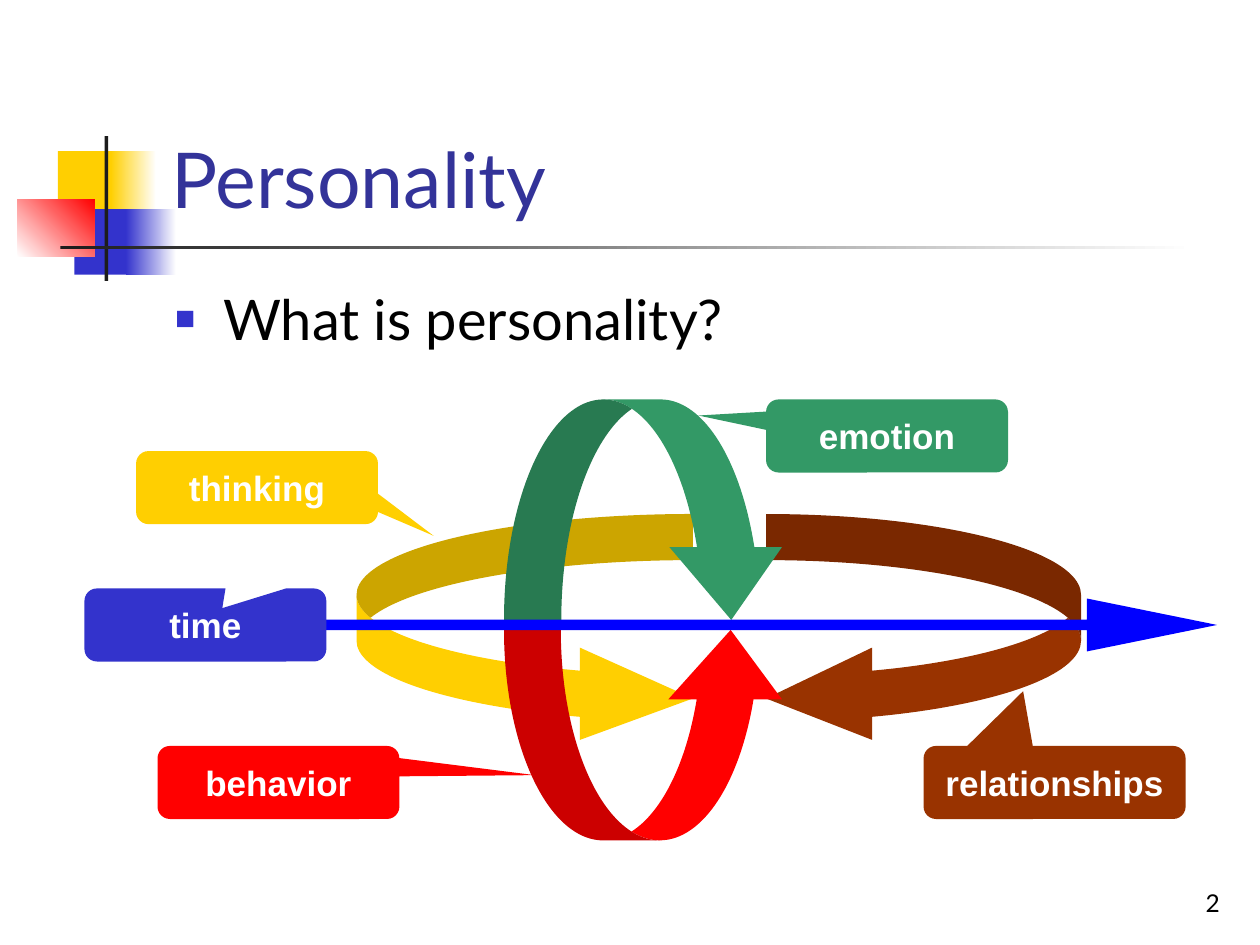
from dataclasses import dataclass

import lxml.etree
import pptx
import pptx.dml.color
import pptx.enum.shapes
import pptx.enum.text
import pptx.oxml.ns
import pptx.util

Inches = pptx.util.Inches
Shape = pptx.enum.shapes.MSO_SHAPE
Align = pptx.enum.text.PP_ALIGN
Anchor = pptx.enum.text.MSO_ANCHOR
Box = tuple[float, float, float, float]


@dataclass(frozen=True)
class Theme:
    yellow: str = "FFCF01"
    blue: str = "3333CC"
    red: str = "FF0000"
    green: str = "339966"
    brown: str = "993300"
    arrow_blue: str = "0000FF"
    title: str = "333399"
    ink: str = "1C1C1C"
    black: str = "000000"
    white: str = "FFFFFF"
    heading_font: str = "Lato"
    label_font: str = "Arial"
    title_size: int = 44
    body_size: int = 32
    label_size: int = 20
    number_size: int = 14


THEME = Theme()


@dataclass(frozen=True)
class Block:
    """A decoration bar; a second colour makes it a gradient."""
    box: Box
    color: str
    end_color: str = ""
    angle: int = 0


@dataclass(frozen=True)
class Figure:
    """A preset shape with its adjustments and an optional label."""
    preset: Shape
    box: Box
    color: str
    adjustments: tuple[float, ...]
    label: str = ""


BLOCKS = [
    Block((0.46, 1.2, 0.48, 0.52), THEME.yellow),
    Block((0.88, 1.2, 0.36, 0.52), THEME.yellow, THEME.white),
    Block((0.59, 1.66, 0.46, 0.52), THEME.blue),
    Block((1, 1.66, 0.4, 0.52), THEME.blue, THEME.white),
    Block((0.14, 1.58, 0.61, 0.46), THEME.white, THEME.red, 45),
    Block((0.83, 1.08, 0.03, 1.15), THEME.ink),
    Block((0.48, 1.95, 9, 0.03), THEME.ink, THEME.white),
]

# Adjustments: band width, head width, head length
ARROWS = [
    Figure(Shape.CURVED_RIGHT_ARROW, (2.83, 4.08, 2.67, 1.83), THEME.yellow, (0.2, 0.4, 0.49)),
    Figure(Shape.CURVED_LEFT_ARROW, (6.08, 4.08, 2.5, 1.83), THEME.brown, (0.2, 0.4, 0.46)),
    Figure(Shape.CURVED_UP_ARROW, (4, 5, 2.25, 1.67), THEME.red, (0.27, 0.54, 0.33)),
    Figure(Shape.CURVED_DOWN_ARROW, (4, 3.17, 2.25, 1.75), THEME.green, (0.26, 0.51, 0.33)),
    Figure(Shape.STRIPED_RIGHT_ARROW, (0.83, 4.75, 8.83, 0.42), THEME.arrow_blue, (0.2, 2.46)),
]


def callout(label: str, left: float, top: float, color: str,
            tip: tuple[float, float], width: float = 1.92) -> Figure:
    return Figure(Shape.ROUNDED_RECTANGULAR_CALLOUT, (left, top, width, 0.58),
                  color, (*tip, 0.17), label)


CALLOUTS = [
    callout("emotion", 6.08, 3.17, THEME.green, (-0.78, -0.28)),
    callout("relationships", 7.33, 5.92, THEME.brown, (-0.12, -1.25), 2.08),
    callout("behavior", 1.25, 5.92, THEME.red, (1.06, -0.1)),
    callout("thinking", 1.08, 3.58, THEME.yellow, (0.73, 0.66)),
    callout("time", 0.67, 4.67, THEME.blue, (0.07, -0.23)),
]


def rgb(color: str) -> pptx.dml.color.RGBColor:
    return pptx.dml.color.RGBColor.from_string(color)


def apply(target, values: dict) -> None:
    for name, value in values.items():
        setattr(target, name, value)


def place(shape, box: Box) -> None:
    apply(shape, dict(zip(("left", "top", "width", "height"), map(Inches, box))))


def write(shape, text: str, font: str, size: int, color: str, align: Align,
          anchor: Anchor, bold: bool = False):
    """Fill a shape with one formatted paragraph and return it."""
    frame = shape.text_frame
    apply(frame, {"word_wrap": True, "vertical_anchor": anchor,
                  "auto_size": pptx.enum.text.MSO_AUTO_SIZE.NONE})
    para = frame.paragraphs[0]
    apply(para, {"alignment": align, "space_before": pptx.util.Pt(0)})
    span = para.add_run()
    span.text = text
    apply(span.font, {"name": font, "size": pptx.util.Pt(size), "bold": bold})
    span.font.color.rgb = rgb(color)
    return para


def add_plain(page, preset: Shape, box: Box):
    shape = page.shapes.add_shape(preset, *map(Inches, box))
    shape.shadow.inherit = False
    shape.line.fill.background()
    return shape


def draw_block(page, block: Block) -> None:
    fill = add_plain(page, Shape.RECTANGLE, block.box).fill
    if block.end_color:
        fill.gradient()
        fill.gradient_angle = block.angle
        for stop, color in zip(fill.gradient_stops, (block.color, block.end_color)):
            stop.color.rgb = rgb(color)
    else:
        fill.solid()
        fill.fore_color.rgb = rgb(block.color)


def draw_figure(page, figure: Figure) -> None:
    shape = add_plain(page, figure.preset, figure.box)
    shape.fill.solid()
    shape.fill.fore_color.rgb = rgb(figure.color)
    for index, value in enumerate(figure.adjustments):
        shape.adjustments[index] = value
    if figure.label:
        write(shape, figure.label, THEME.label_font, THEME.label_size,
              THEME.white, Align.CENTER, Anchor.MIDDLE, bold=True)


def add_bullet(para, character: str, color: str, percent: int, indent: float) -> None:
    properties = para._p.get_or_add_pPr()
    properties.set("marL", str(Inches(indent)))
    properties.set("indent", str(-Inches(indent)))
    qn = pptx.oxml.ns.qn
    bullet_color = lxml.etree.SubElement(properties, qn("a:buClr"))
    lxml.etree.SubElement(bullet_color, qn("a:srgbClr"), val=color)
    lxml.etree.SubElement(properties, qn("a:buSzPct"), val=str(percent * 1000))
    lxml.etree.SubElement(properties, qn("a:buChar"), char=character)


def main() -> None:
    deck = pptx.Presentation()
    deck.slide_width, deck.slide_height = Inches(10), Inches(7.5)
    page = deck.slides.add_slide(deck.slide_layouts[1])

    # Corner decoration
    for block in BLOCKS:
        draw_block(page, block)

    # Title, list and page number
    title, body = page.shapes.title, page.placeholders[1]
    place(title, (1.26, 0.23, 8.52, 1.6))
    write(title, "Personality", THEME.heading_font, THEME.title_size,
          THEME.title, Align.LEFT, Anchor.BOTTOM)
    place(body, (1.29, 2.21, 8.5, 4.5))
    para = write(body, "What is personality?", THEME.heading_font, THEME.body_size,
                 THEME.black, Align.LEFT, Anchor.TOP)
    add_bullet(para, "■", THEME.blue, 60, 0.38)
    number = page.shapes.add_textbox(*map(Inches, (7.7, 6.83, 2.08, 0.5)))
    write(number, "2", THEME.heading_font, THEME.number_size,
          THEME.black, Align.RIGHT, Anchor.BOTTOM)

    # Personality cycle and its labels
    for figure in ARROWS + CALLOUTS:
        draw_figure(page, figure)

    deck.save("out.pptx")


if __name__ == "__main__":
    main()
